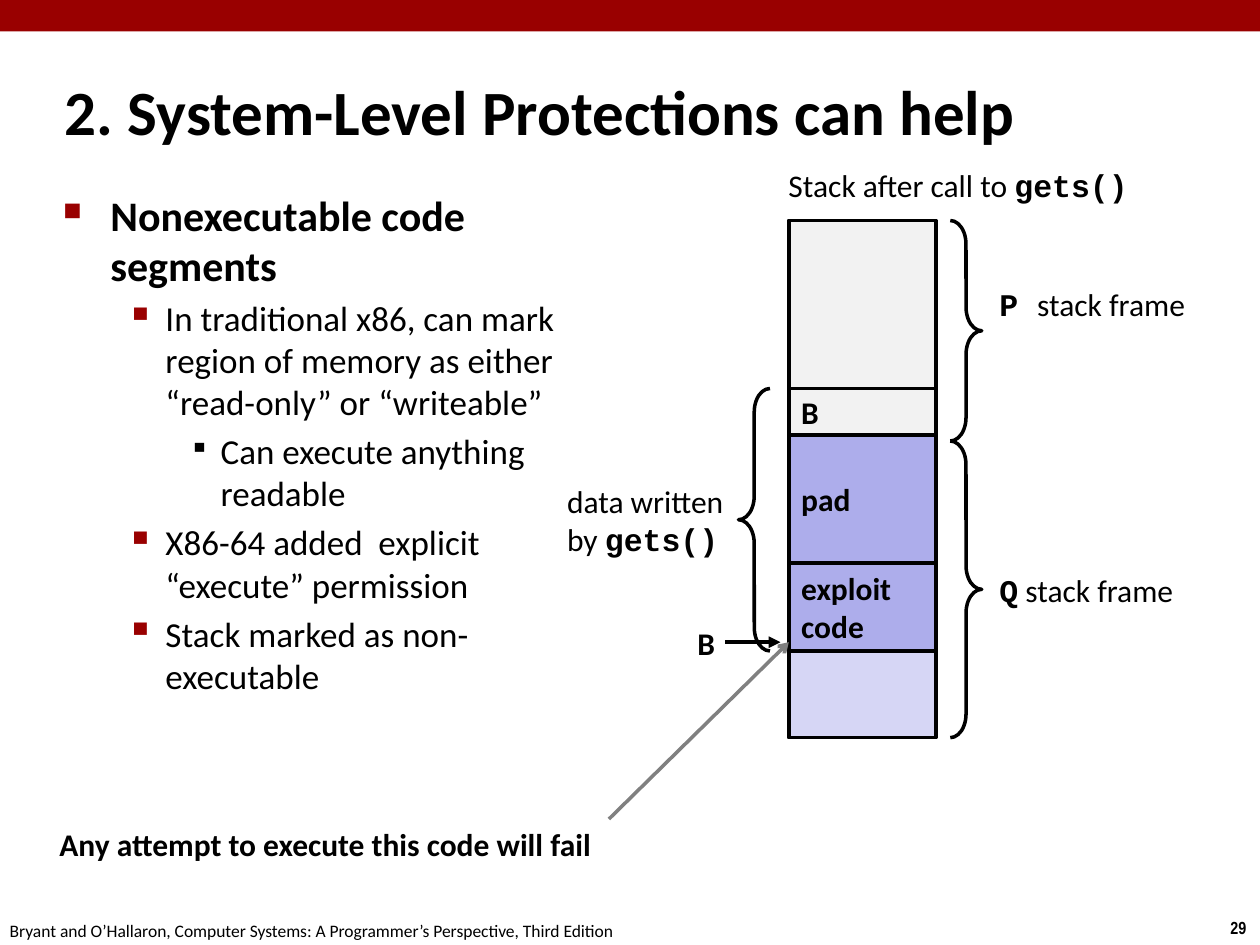
from dataclasses import dataclass

import pptx
import pptx.dml.color
import pptx.enum.shapes
import pptx.enum.text
import pptx.oxml
import pptx.oxml.ns
import pptx.util
from lxml import etree

Pt = pptx.util.Pt
MSO_SHAPE = pptx.enum.shapes.MSO_SHAPE
ANCHOR = pptx.enum.text.MSO_ANCHOR
ALIGN = pptx.enum.text.PP_ALIGN


@dataclass(frozen=True)
class Theme:
    ink: str = "000000"
    accent: str = "990000"
    caller: str = "F2F2F2"
    written: str = "ADADEB"
    unwritten: str = "D6D6F5"
    pointer: str = "808080"
    body_font: str = "Calibri"
    code_font: str = "Courier New"
    number_font: str = "Arial Narrow"
    title: int = 36
    topic: int = 24
    point: int = 20
    label: int = 18
    footer: int = 10


def rgb(value):
    return pptx.dml.color.RGBColor.from_string(value)


def add_xml(parent, tag, **attributes):
    return etree.SubElement(parent, pptx.oxml.ns.qn(tag), attributes)


class StackSlide:
    def __init__(self, slide, theme):
        self.slide = slide
        self.theme = theme

    def style(self, run, size, bold=False, font=None):
        run.font.name = font or self.theme.body_font
        run.font.size = Pt(size)
        run.font.bold = bold
        run.font.color.rgb = rgb(self.theme.ink)

    def frame(self, shape, wrap, anchor):
        text_frame = shape.text_frame
        text_frame.word_wrap = wrap
        text_frame.vertical_anchor = anchor
        return text_frame

    def textbox(self, left, top, width, height, wrap=False, anchor=ANCHOR.TOP):
        box = self.slide.shapes.add_textbox(Pt(left), Pt(top), Pt(width), Pt(height))
        return self.frame(box, wrap, anchor)

    def text(self, left, top, width, height, wording, size, bold=False,
             font=None, align=ALIGN.LEFT, anchor=ANCHOR.TOP):
        text_frame = self.textbox(left, top, width, height, anchor=anchor)
        text_frame.text = wording
        paragraph = text_frame.paragraphs[0]
        paragraph.alignment = align
        self.style(paragraph.runs[0], size, bold, font)

    def label(self, left, top, width, height, *lines, wrap=False):
        """Each line is a list of (wording, is_code) pairs; code is bold monospace."""
        text_frame = self.textbox(left, top, width, height, wrap, ANCHOR.MIDDLE)
        for index, pieces in enumerate(lines):
            paragraph = text_frame.add_paragraph() if index else text_frame.paragraphs[0]
            for wording, is_code in pieces:
                run = paragraph.add_run()
                run.text = wording
                font = self.theme.code_font if is_code else None
                self.style(run, self.theme.label, is_code, font)

    def outline(self, left, top, width, height, points):
        """Each point is (level, wording)."""
        theme = self.theme
        # margin, hanging indent, bullet, bullet size, bullet colour, text size
        levels = [
            (27, 27, "■", 60, theme.accent, theme.topic),
            (58.5, 22.5, "▪", 110, theme.accent, theme.point),
            (90, 18, "▪", 80, theme.ink, theme.point),
        ]
        text_frame = self.textbox(left, top, width, height, wrap=True)
        text_frame.text = "\n".join(wording for _, wording in points)
        for index, (level, _) in enumerate(points):
            margin, hang, mark, percent, color, size = levels[level]
            paragraph = text_frame.paragraphs[index]
            paragraph.level = level
            if index:
                paragraph.space_before = Pt(size * 0.2)
            properties = paragraph._p.get_or_add_pPr()
            properties.set("marL", str(Pt(margin)))
            properties.set("indent", str(-Pt(hang)))
            add_xml(add_xml(properties, "a:buClr"), "a:srgbClr", val=color)
            add_xml(properties, "a:buSzPct", val=str(percent * 1000))
            add_xml(properties, "a:buChar", char=mark)
            self.style(paragraph.runs[0], size, bold=level == 0)

    def block(self, left, top, width, height, fill, wording="", border=True):
        block = self.slide.shapes.add_shape(
            MSO_SHAPE.RECTANGLE, Pt(left), Pt(top), Pt(width), Pt(height))
        block.shadow.inherit = False
        block.fill.solid()
        block.fill.fore_color.rgb = rgb(fill)
        if border:
            block.line.color.rgb = rgb(self.theme.ink)
            block.line.width = Pt(2.25)
        else:
            block.line.fill.background()
        if wording:
            text_frame = self.frame(block, True, ANCHOR.MIDDLE)
            text_frame.text = wording
            for paragraph in text_frame.paragraphs:
                paragraph.alignment = ALIGN.LEFT
                self.style(paragraph.runs[0], self.theme.label, bold=True)

    def brace(self, left, top, bottom, rotation=0):
        brace = self.slide.shapes.add_shape(
            MSO_SHAPE.LEFT_BRACE, Pt(left), Pt(top), Pt(18), Pt(bottom - top))
        brace.rotation = rotation
        brace.adjustments[0] = 0.75
        brace.shadow.inherit = False
        brace.fill.background()
        brace.line.color.rgb = rgb(self.theme.ink)
        brace.line.width = Pt(2)

    def arrow(self, start, end, color, width, head):
        arrow = self.slide.shapes.add_connector(
            pptx.enum.shapes.MSO_CONNECTOR.STRAIGHT,
            *(Pt(value) for value in (*start, *end)))
        arrow.line.color.rgb = rgb(color)
        arrow.line.width = Pt(width)
        add_xml(arrow.line._get_or_add_ln(), "a:tailEnd", type=head)
        add_xml(arrow._element.spPr, "a:effectLst")


def main():
    presentation = pptx.Presentation()
    presentation.slide_width, presentation.slide_height = Pt(720), Pt(540)
    theme = Theme()
    page = StackSlide(presentation.slides.add_slide(presentation.slide_layouts[6]), theme)

    page.block(0, 0, 720, 18, theme.accent, border=False)
    page.text(696, 520.5, 24.5, 19.5, "29", theme.footer, True, theme.number_font)
    page.text(-1.5, 522, 366, 19.5,
              "Bryant and O’Hallaron, Computer Systems: A Programmer’s Perspective, Third Edition",
              theme.footer)
    page.text(30, 42, 636, 42, "2. System-Level Protections can help",
              theme.title, True, anchor=ANCHOR.MIDDLE)
    page.outline(29, 104.5, 319, 411, [
        (0, "Nonexecutable code segments"),
        (1, "In traditional x86, can mark region of memory as either “read-only” or “writeable”"),
        (2, "Can execute anything readable"),
        (1, "X86-64 added  explicit “execute” permission"),
        (1, "Stack marked as non-executable"),
    ])

    stack_left, stack_width = 450.75, 84
    stack_top, return_top, pad_top, exploit_top, rest_top, stack_bottom = (
        126, 222, 248.5, 321.5, 372, 421.5)
    for top, bottom, fill, wording in [
        (stack_top, return_top, theme.caller, ""),
        (return_top, pad_top, theme.caller, "B"),
        (rest_top, stack_bottom, theme.unwritten, ""),
        (exploit_top, rest_top, theme.written, "exploit\ncode"),
        (pad_top, exploit_top, theme.written, "pad"),
    ]:
        page.block(stack_left, top, stack_width, bottom - top, fill, wording)

    page.label(443.5, 91, 211, 29, [("Stack after call to ", False), ("gets()", True)])
    page.label(564, 159, 122.5, 29, [("P ", True), ("stack frame", False)])
    page.label(564, 322.5, 116, 29, [("Q", True), (" stack frame", False)])
    page.label(317, 271.5, 108, 51, [("data written", False)],
               [("by ", False), ("gets()", True)], wrap=True)
    page.text(391.5, 353, 24.5, 29, "B", theme.label, True, anchor=ANCHOR.MIDDLE)

    frame_boundary = 252
    page.brace(543, stack_top, frame_boundary, 180)
    page.brace(543, frame_boundary, stack_bottom, 180)
    page.brace(422, return_top, rest_top)

    code_start = 367
    page.arrow((414.5, code_start), (446, code_start), theme.ink, 2.25, "triangle")
    page.arrow((348, 468), (stack_left, code_start), theme.pointer, 2, "arrow")
    page.text(21, 468, 324, 29, "Any attempt to execute this code will fail",
              theme.label, True, align=ALIGN.RIGHT)

    presentation.save("out.pptx")


if __name__ == "__main__":
    main()
